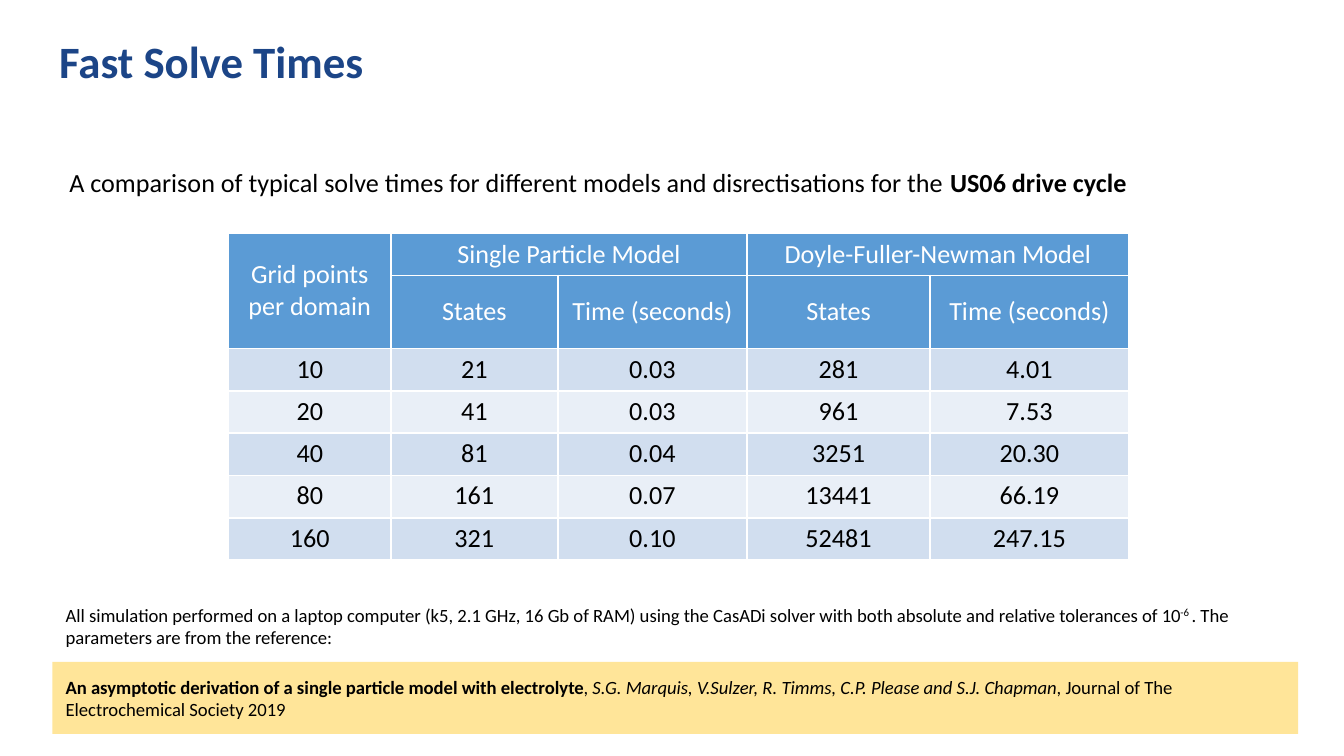
import pptx
import pptx.dml.color
import pptx.enum.shapes
import pptx.enum.text
import pptx.oxml
import pptx.oxml.ns
import pptx.util

RGBColor = pptx.dml.color.RGBColor
PP_ALIGN = pptx.enum.text.PP_ALIGN
MSO_ANCHOR = pptx.enum.text.MSO_ANCHOR

NAVY = RGBColor(0x1C, 0x45, 0x87)
BLACK = RGBColor(0, 0, 0)
WHITE = RGBColor(0xFF, 0xFF, 0xFF)
HEADER_BLUE = RGBColor(0x5B, 0x9B, 0xD5)
BANDS = (RGBColor(0xD1, 0xDE, 0xEF), RGBColor(0xE9, 0xEF, 0xF7))
YELLOW = RGBColor(0xFF, 0xE5, 0x99)

EMU_PER_PX = 4572  # 200 px to the inch

WIDE_MARGINS = (20, 20)
NARROW_MARGINS = (15, 7)

COLUMN_WIDTHS = (242, 248, 282, 272, 296)
ROW_HEIGHTS = (63, 108, 63, 63, 63, 63, 63)
HEADERS = (
    ("Grid points per domain", "Single Particle Model", "", "Doyle-Fuller-Newman Model", ""),
    ("", "States", "Time (seconds)", "States", "Time (seconds)"),
)
SOLVE_TIMES = (
    ("10", "21", "0.03", "281", "4.01"),
    ("20", "41", "0.03", "961", "7.53"),
    ("40", "81", "0.04", "3251", "20.30"),
    ("80", "161", "0.07", "13441", "66.19"),
    ("160", "321", "0.10", "52481", "247.15"),
)
MERGES = (((0, 0), (1, 0)), ((0, 1), (0, 2)), ((0, 3), (0, 4)))


def px(length):
    return pptx.util.Emu(length * EMU_PER_PX)


def set_margins(target, across, down):
    for side, margin in {"left": across, "right": across, "top": down, "bottom": down}.items():
        setattr(target, f"margin_{side}", px(margin))


def write(frame, runs, size, color, align=PP_ALIGN.LEFT):
    """Fill the first paragraph with (text, font settings) runs."""
    paragraph = frame.paragraphs[0]
    paragraph.alignment = align
    for text, settings in runs:
        run = paragraph.add_run()
        run.text = text
        run.font.color.rgb = color
        values = {"name": "Calibri", "size": pptx.util.Pt(size), "bold": False, **settings}
        for attribute, value in values.items():
            setattr(run.font, attribute, value)
    return paragraph


def prepare_frame(frame, margins):
    frame.word_wrap = True
    frame.auto_size = pptx.enum.text.MSO_AUTO_SIZE.NONE
    frame.vertical_anchor = MSO_ANCHOR.TOP
    set_margins(frame, *margins)
    return frame


def add_title(slide, box):
    title = slide.shapes.title
    for attribute, length in zip(("left", "top", "width", "height"), box):
        setattr(title, attribute, px(length))
    frame = prepare_frame(title.text_frame, WIDE_MARGINS)
    write(frame, [("Fast Solve Times", {"bold": True})], 24, NAVY)


def add_intro(slide, box):
    intro = slide.shapes.add_textbox(*map(px, box))
    write(prepare_frame(intro.text_frame, NARROW_MARGINS), [
        ("A comparison of typical solve times for different models and "
         "disrectisations for the", {}),
        (" US06 drive cycle", {"bold": True}),
    ], 14, BLACK)


def add_borders(cell):
    properties = cell._tc.get_or_add_tcPr()
    for edge in ("lnL", "lnR", "lnT", "lnB"):
        properties.append(pptx.oxml.parse_xml(
            f'<a:{edge} {pptx.oxml.ns.nsdecls("a")} w="{pptx.util.Pt(0.96)}">'
            f'<a:solidFill><a:srgbClr val="{WHITE}"/></a:solidFill></a:{edge}>'))


def add_solve_times(slide, left, top):
    rows = HEADERS + SOLVE_TIMES
    table = slide.shapes.add_table(
        len(rows), len(COLUMN_WIDTHS), px(left), px(top),
        px(sum(COLUMN_WIDTHS)), px(sum(ROW_HEIGHTS))).table
    table.first_row = table.horz_banding = False
    for column, width in zip(table.columns, COLUMN_WIDTHS):
        column.width = px(width)
    for row, height in zip(table.rows, ROW_HEIGHTS):
        row.height = px(height)
    for start, end in MERGES:
        table.cell(*start).merge(table.cell(*end))

    for r, values in enumerate(rows):
        is_header = r < len(HEADERS)
        for c, value in enumerate(values):
            cell = table.cell(r, c)
            add_borders(cell)
            cell.fill.solid()
            cell.fill.fore_color.rgb = HEADER_BLUE if is_header else BANDS[r % 2]
            cell.vertical_anchor = MSO_ANCHOR.MIDDLE if is_header else MSO_ANCHOR.TOP
            set_margins(cell, *NARROW_MARGINS)
            if value:
                write(cell.text_frame, [(value, {})], 14,
                      WHITE if is_header else BLACK, PP_ALIGN.CENTER)


def add_conditions(slide, box):
    conditions = slide.shapes.add_textbox(*map(px, box))
    paragraph = write(prepare_frame(conditions.text_frame, WIDE_MARGINS), [
        ("All simulation performed on a laptop computer (k5, 2.1 GHz, 16 Gb of RAM) using "
         "the CasADi solver with both absolute and relative tolerances of 10", {}),
        ("-6 ", {}),
        (". The parameters are from the reference:", {}),
    ], 10, BLACK)
    exponent = paragraph.runs[1]
    exponent.font._element.set("baseline", "30000")


def add_reference(slide, box):
    reference = slide.shapes.add_shape(
        pptx.enum.shapes.MSO_SHAPE.RECTANGLE, *map(px, box))
    reference.shadow.inherit = False
    reference.fill.solid()
    reference.fill.fore_color.rgb = YELLOW
    reference.line.fill.background()
    write(prepare_frame(reference.text_frame, WIDE_MARGINS), [
        ("An asymptotic derivation of a single particle model with electrolyte", {"bold": True}),
        (", ", {}),
        ("S.G. Marquis, V.Sulzer, R. Timms, C.P. Please and S.J. Chapman", {"italic": True}),
        (", Journal of The Electrochemical Society 2019", {}),
    ], 10, BLACK)


def main():
    deck = pptx.Presentation()
    deck.slide_width, deck.slide_height = px(2000), px(1125)
    slide = deck.slides.add_slide(deck.slide_layouts.get_by_name("Title Only"))
    add_title(slide, (68, 30, 1864, 126))
    add_intro(slide, (88, 240, 1844, 126))
    add_solve_times(slide, 340, 347)
    add_conditions(slide, (78, 878, 1854, 107))
    add_reference(slide, (78, 985, 1854, 107))
    deck.save("out.pptx")


if __name__ == "__main__":
    main()
